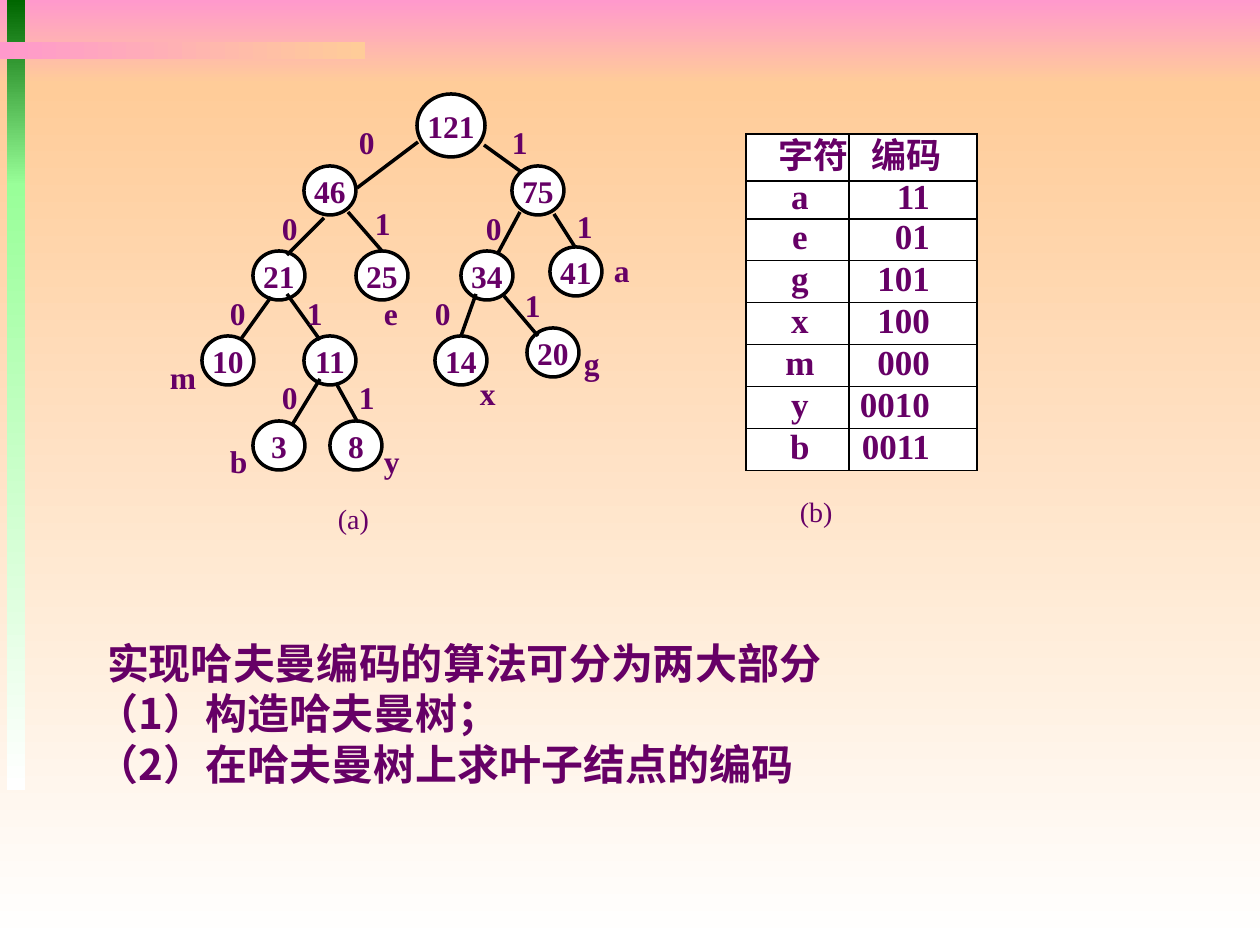
from lxml import etree
from pptx import Presentation
from pptx.dml.color import RGBColor
from pptx.enum.shapes import MSO_CONNECTOR, MSO_SHAPE
from pptx.enum.text import MSO_ANCHOR, PP_ALIGN
from pptx.oxml.ns import qn
from pptx.util import Pt

RECT, OVAL = MSO_SHAPE.RECTANGLE, MSO_SHAPE.OVAL
STRAIGHT = MSO_CONNECTOR.STRAIGHT
LEFT, CENTER, RIGHT = PP_ALIGN.LEFT, PP_ALIGN.CENTER, PP_ALIGN.RIGHT
TOP, MIDDLE = MSO_ANCHOR.TOP, MSO_ANCHOR.MIDDLE
SCALE = 914400 / 126
SERIF, CJK = "Times New Roman", "Noto Sans CJK SC"
COLORS = {
    "text": "660066", "line": "000000", "paper": "FFFFFF",
    "pink": "FF99CC", "peach": "FFCC99", "forest": "006600", "mint": "99FF99",
}
BANDS = [
    (0, 0, 1260, 84, "pink", "peach", 270),
    (0, 84, 1260, 861, "peach", "paper", 270),
    (7, 0, 18, 186, "forest", "mint", 270),
    (7, 184, 18, 606, "mint", "paper", 270),
    (0, 42, 365, 17, "pink", "peach", 0),
]
NODE_SIZE, ROOT_SIZE = (52, 49), (68, 63)
NODES = [
    ("46", 304, 166), ("75", 512, 166),
    ("21", 253, 251), ("25", 356, 251), ("34", 461, 251), ("41", 550, 247),
    ("10", 202, 336), ("11", 304, 336), ("14", 435, 336), ("20", 527, 328),
    ("3", 253, 421), ("8", 330, 421),
]
EDGES = [
    (418, 142, 357, 188), (484, 145, 520, 171),
    (324, 218, 287, 255), (348, 212, 382, 251),
    (520, 212, 498, 253), (554, 214, 575, 247),
    (271, 297, 241, 339), (287, 294, 320, 340),
    (476, 294, 461, 336), (504, 296, 538, 336),
    (320, 379, 292, 425), (336, 383, 357, 421),
]
TREE_LABELS = {
    "0": [(357, 123), (280, 209), (484, 209), (228, 294), (433, 294), (280, 378)],
    "1": [(510, 123), (373, 204), (575, 207), (305, 294), (523, 286), (357, 378)],
    "m": [(168, 358)], "b": [(228, 442)], "y": [(382, 442)], "x": [(478, 374)],
    "g": [(582, 344)], "a": [(612, 251)], "e": [(382, 294)],
}
CODES = [
    ("字符", "编码"), ("a", "11"), ("e", "01"), ("g", "101"), ("x", "100"),
    ("m", "000"), ("y", "0010"), ("b", "0011"),
]
CODE_COLUMNS = (103, 128)
CODE_ROWS = (47, 38) + (42,) * 6
SUMMARY = [
    "实现哈夫曼编码的算法可分为两大部分",
    "（1）构造哈夫曼树；",
    "（2）在哈夫曼树上求叶子结点的编码",
]


def px(length):
    return round(length * SCALE)


def rgb(name):
    return RGBColor.from_string(COLORS[name])


def set_margins(holder, left, top, right, bottom):
    holder.margin_left, holder.margin_top = px(left), px(top)
    holder.margin_right, holder.margin_bottom = px(right), px(bottom)


def write(paragraph, text, size, bold=True, font=SERIF, align=LEFT):
    paragraph.alignment = align
    run = paragraph.add_run()
    run.text = text
    run.font.name, run.font.size, run.font.bold = font, Pt(size), bold
    run.font.color.rgb = rgb("text")
    etree.SubElement(run.font._element, qn("a:ea"), typeface=CJK)


def add_band(slide, left, top, width, height, start, end, angle):
    band = slide.shapes.add_shape(RECT, px(left), px(top), px(width), px(height))
    band.shadow.inherit = False
    band.line.fill.background()
    band.fill.gradient()
    band.fill.gradient_angle = angle
    for stop, color in zip(band.fill.gradient_stops, (start, end)):
        stop.color.rgb = rgb(color)


def add_node(slide, weight, left, top, size=NODE_SIZE):
    node = slide.shapes.add_shape(OVAL, px(left), px(top), px(size[0]), px(size[1]))
    node.shadow.inherit = False
    node.fill.solid()
    node.fill.fore_color.rgb = rgb("paper")
    node.line.color.rgb = rgb("line")
    node.line.width = Pt(2)
    frame = node.text_frame
    frame.word_wrap = False
    frame.vertical_anchor = MIDDLE
    set_margins(frame, 0, 0, 0, 0)
    write(frame.paragraphs[0], weight, 18, align=CENTER)


def add_edge(slide, *ends):
    edge = slide.shapes.add_connector(STRAIGHT, *map(px, ends))
    edge.line.color.rgb = rgb("line")
    edge.line.width = Pt(2)
    etree.SubElement(edge._element.spPr, qn("a:effectLst"))


def add_label(slide, text, left, top, width, height, size=18, bold=True):
    label = slide.shapes.add_textbox(px(left), px(top), px(width), px(height))
    frame = label.text_frame
    frame.word_wrap = True
    frame.vertical_anchor = TOP
    set_margins(frame, 2, 0, 2, 0)
    write(frame.paragraphs[0], text, size, bold)


def add_borders(cell):
    properties = cell._tc.get_or_add_tcPr()
    for position, side in enumerate(("lnL", "lnR", "lnT", "lnB")):
        border = etree.Element(qn("a:" + side), w=str(Pt(0.75)))
        fill = etree.SubElement(border, qn("a:solidFill"))
        etree.SubElement(fill, qn("a:srgbClr"), val=COLORS["line"])
        properties.insert(position, border)


def add_code_table(slide, left, top):
    table = slide.shapes.add_table(
        len(CODE_ROWS), len(CODE_COLUMNS), px(left), px(top),
        px(sum(CODE_COLUMNS)), px(sum(CODE_ROWS)),
    ).table
    table.first_row = table.horz_banding = False
    for column, width in zip(table.columns, CODE_COLUMNS):
        column.width = px(width)
    for index, (height, entries) in enumerate(zip(CODE_ROWS, CODES)):
        table.rows[index].height = px(height)
        header = index == 0
        layouts = [(RIGHT, 0, 0), (RIGHT, 0, 35)] if header else [(CENTER, 5, 0), (RIGHT, 0, 47)]
        for column, (text, (align, before, after)) in enumerate(zip(entries, layouts)):
            cell = table.cell(index, column)
            cell.fill.solid()
            cell.fill.fore_color.rgb = rgb("paper")
            cell.vertical_anchor = MIDDLE
            set_margins(cell, before, 0, after, 0)
            add_borders(cell)
            paragraph = cell.text_frame.paragraphs[0]
            paragraph.line_spacing = Pt(24 if header else 20)
            write(paragraph, text, 20, align=align)


def add_summary(slide, left, top, width, height):
    summary = slide.shapes.add_textbox(px(left), px(top), px(width), px(height))
    frame = summary.text_frame
    frame.word_wrap = True
    frame.vertical_anchor = MIDDLE
    set_margins(frame, 13, 6, 13, 6)
    for index, line in enumerate(SUMMARY):
        paragraph = frame.add_paragraph() if index else frame.paragraphs[0]
        write(paragraph, line, 24, font=CJK)
    frame.paragraphs[0]._p.get_or_add_pPr().set("marL", str(px(10)))


def main():
    deck = Presentation()
    deck.slide_width, deck.slide_height = px(1260), px(945)
    slide = deck.slides.add_slide(deck.slide_layouts[6])
    for band in BANDS:
        add_band(slide, *band)
    add_code_table(slide, 746, 134)
    add_label(slide, "(a)", 336, 501, 128, 43, 16, False)
    add_label(slide, "(b)", 798, 495, 128, 43, 16, False)
    add_summary(slide, 84, 631, 953, 164)
    add_node(slide, "121", 417, 94, ROOT_SIZE)
    for node in NODES:
        add_node(slide, *node)
    for edge in EDGES:
        add_edge(slide, *edge)
    for text, places in TREE_LABELS.items():
        for left, top in places:
            add_label(slide, text, left, top, 52 if text == "m" else 25, 42)
    deck.save("out.pptx")


if __name__ == "__main__":
    main()
